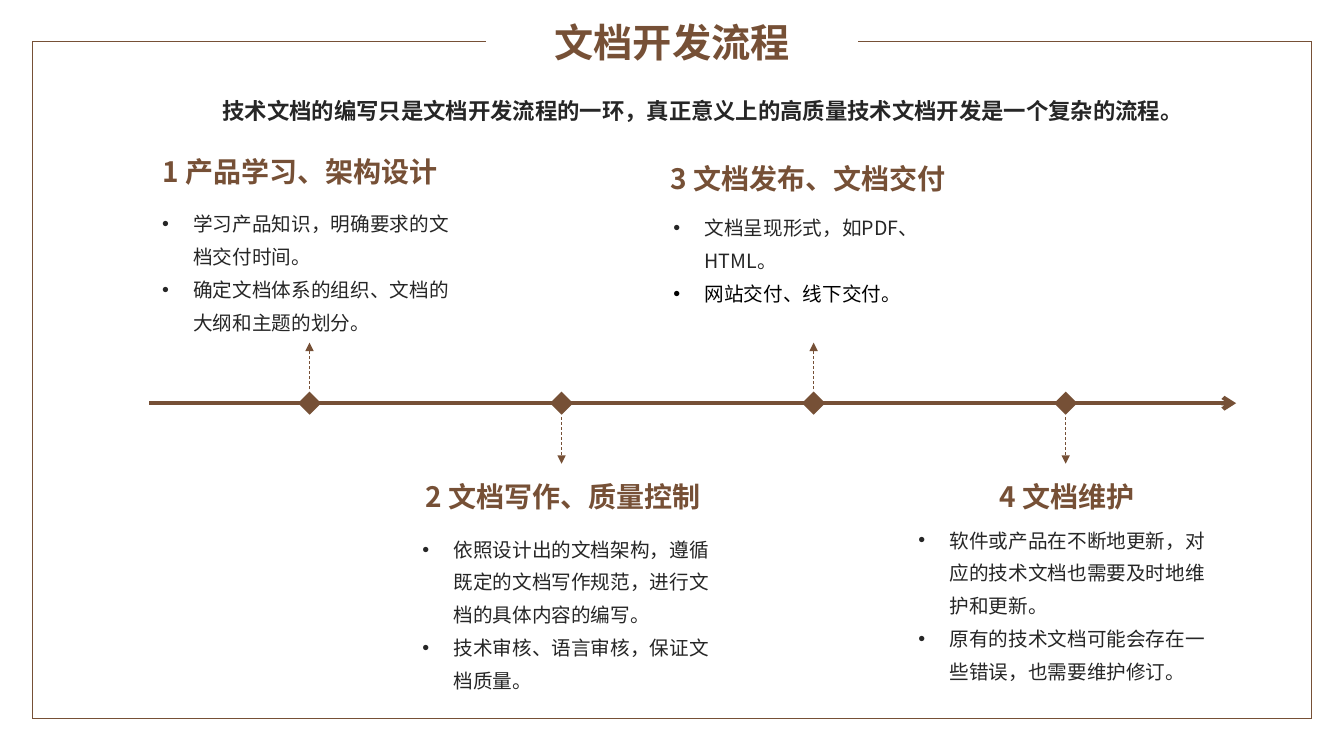
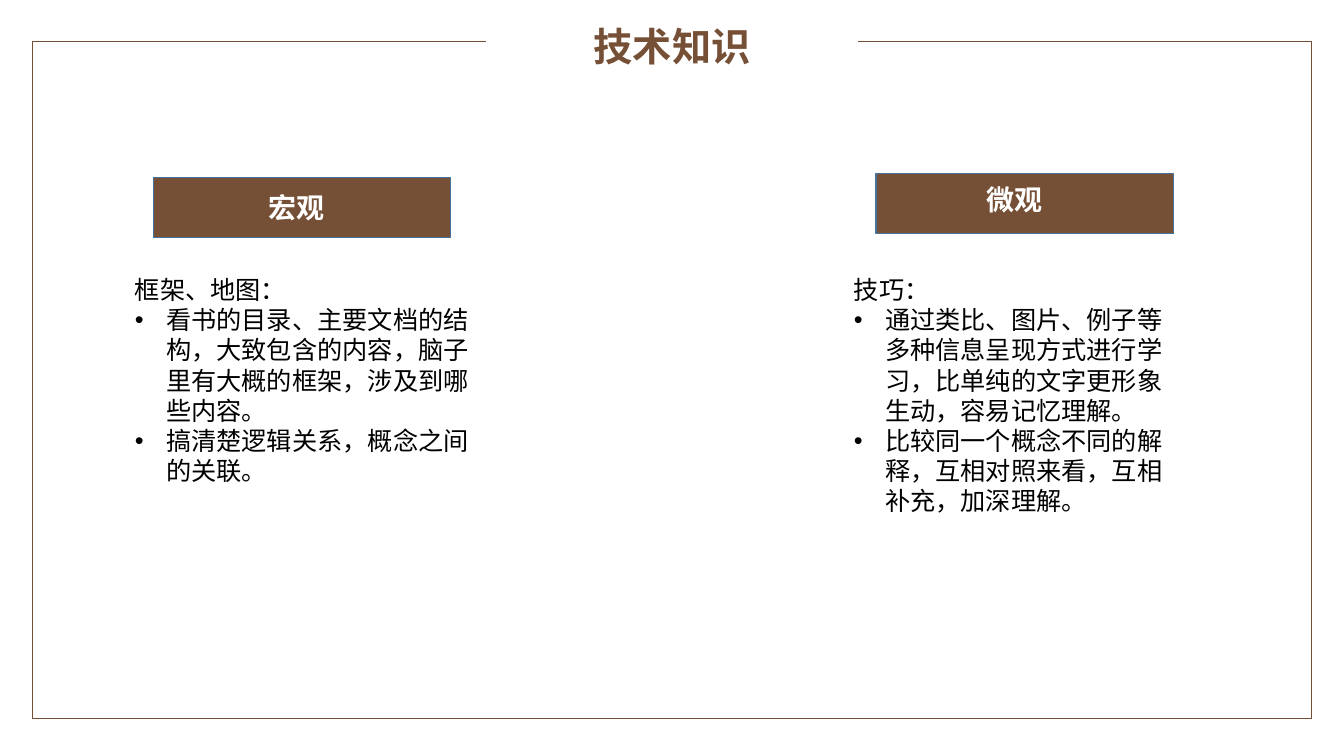
"""Build two framed slides about technical documentation."""
import dataclasses

import lxml.etree
import pptx
import pptx.dml.color
import pptx.enum.dml
import pptx.enum.shapes
import pptx.enum.text
import pptx.oxml.ns
import pptx.util

Inches = pptx.util.Inches
ALIGN = pptx.enum.text.PP_ALIGN
ANCHOR = pptx.enum.text.MSO_ANCHOR
SHAPE = pptx.enum.shapes.MSO_SHAPE


@dataclasses.dataclass(frozen=True)
class Style:
    """Describe how a run and its lines look."""
    size: float
    color: str
    bold: bool = False
    font: str = "Noto Sans CJK SC"
    leading: float = 1.2


@dataclasses.dataclass(frozen=True)
class Theme:
    """Hold the colours and text styles of the presentation."""
    brown: str = "765036"
    blue: str = "43739E"
    title: Style = Style(28, "765036", True)
    heading: Style = Style(20, "765036", True)
    label: Style = Style(20, "FFFFFF", True)
    lead: Style = Style(16, "262626", True)
    step: Style = Style(14, "262626", leading=1.68)
    step_black: Style = Style(14, "000000", leading=1.68)
    body: Style = Style(18, "000000", font="Calibri")


THEME = Theme()


def rgb(value):
    """Turn a hexadecimal string into a colour."""
    return pptx.dml.color.RGBColor.from_string(value)


def add_element(parent, tag, **attributes):
    """Append a drawing element to its parent."""
    return lxml.etree.SubElement(parent, pptx.oxml.ns.qn(tag), **attributes)


def write_paragraph(paragraph, text, style, align=ALIGN.LEFT, bullet=False):
    """Fill a paragraph with one styled run."""
    paragraph.alignment = align
    paragraph.line_spacing = pptx.util.Pt(round(style.size * style.leading, 1))
    if bullet:
        properties = paragraph._p.get_or_add_pPr()
        properties.set("marL", str(Inches(0.31)))
        properties.set("indent", str(Inches(-0.31)))
        add_element(properties, "a:buFont", typeface="Arial")
        add_element(properties, "a:buChar", char="•")
    run = paragraph.add_run()
    run.text = text
    run.font.size = pptx.util.Pt(style.size)
    run.font.bold = style.bold
    run.font.color.rgb = rgb(style.color)
    run.font.name = style.font
    add_element(run._r.get_or_add_rPr(), "a:ea", typeface=style.font)


def add_text(slide, left, top, width, height, items, align=ALIGN.LEFT):
    """Add a wrapped text box from (text, style, bullet) items."""
    shape = slide.shapes.add_textbox(
        Inches(left), Inches(top), Inches(width), Inches(height))
    frame = shape.text_frame
    frame.word_wrap = True
    for index, (text, style, bullet) in enumerate(items):
        paragraph = frame.add_paragraph() if index else frame.paragraphs[0]
        write_paragraph(paragraph, text, style, align, bullet)


def add_line(slide, start, end, weight=1, dashed=False, arrow=None):
    """Add a straight brown line, with an optional arrowhead at its end."""
    line = slide.shapes.add_connector(
        pptx.enum.shapes.MSO_CONNECTOR.STRAIGHT,
        *(Inches(value) for value in (*start, *end)))
    line.line.color.rgb = rgb(THEME.brown)
    line.line.width = pptx.util.Pt(weight)
    if dashed:
        line.line.dash_style = pptx.enum.dml.MSO_LINE.DASH
    if arrow:
        add_element(line.line._get_or_add_ln(), "a:tailEnd", type=arrow)
    add_element(line._element.spPr, "a:effectLst")


def add_filled_shape(slide, kind, left, top, width, height, outline=None):
    """Add a brown preset shape."""
    shape = slide.shapes.add_shape(
        kind, Inches(left), Inches(top), Inches(width), Inches(height))
    shape.shadow.inherit = False
    shape.fill.solid()
    shape.fill.fore_color.rgb = rgb(THEME.brown)
    if outline:
        shape.line.color.rgb = rgb(outline)
        shape.line.width = pptx.util.Pt(1)
    else:
        shape.line.fill.background()
    return shape


def add_framed_slide(presentation, title, title_top):
    """Add a slide with its title set in the gap of a thin frame."""
    slide = presentation.slides.add_slide(presentation.slide_layouts[5])
    left, top, right, bottom = 0.32, 0.41, 13.01, 7.13
    gap_left, gap_right = 4.82, 8.51
    corners = [(gap_left, top), (left, top), (left, bottom),
               (right, bottom), (right, top), (gap_right, top)]
    for start, end in zip(corners, corners[1:]):
        add_line(slide, start, end)
    shape = slide.shapes.title
    shape.left, shape.top = Inches(gap_left), Inches(title_top)
    shape.width, shape.height = Inches(gap_right - gap_left), Inches(0.57)
    frame = shape.text_frame
    frame.vertical_anchor = ANCHOR.TOP
    frame.auto_size = pptx.enum.text.MSO_AUTO_SIZE.NONE
    write_paragraph(frame.paragraphs[0], title, THEME.title, ALIGN.CENTER)
    return slide


def add_milestone(slide, center, upward):
    """Add a timeline diamond with a dashed arrow up or down."""
    axis, size = 4, 0.23
    direction = -1 if upward else 1
    add_filled_shape(slide, SHAPE.DIAMOND, center - size / 2,
                     axis - size / 2, size, size)
    add_line(slide, (center, axis + direction * 0.14),
             (center, axis + direction * 0.6), 0.5, True, "triangle")


def add_step(slide, heading, heading_at, body_at, height, points):
    """Add a step heading and its bulleted text."""
    add_text(slide, *heading_at, 3.05, 0.44,
             [(heading, THEME.heading, False)], ALIGN.CENTER)
    add_text(slide, *body_at, 3.17, height,
             [(text, style, True) for text, style in points])


def add_banner(slide, left, top, text, shift):
    """Add a labelled rectangle whose text sits slightly up and left."""
    banner = add_filled_shape(slide, SHAPE.RECTANGLE, left, top, 2.95, 0.6,
                              THEME.blue)
    frame = banner.text_frame
    frame.vertical_anchor = ANCHOR.MIDDLE
    frame.margin_right = Inches(0.1 + 2 * shift[0])
    frame.margin_bottom = Inches(0.05 + 2 * shift[1])
    write_paragraph(frame.paragraphs[0], text, THEME.label, ALIGN.CENTER)


def add_topic(slide, left, width, height, intro, points):
    """Add an introductory line followed by bullets."""
    items = [(intro, THEME.body, False)]
    items += [(point, THEME.body, True) for point in points]
    add_text(slide, left, 2.67, width, height, items)


def build_process(presentation):
    """Build the timeline of the documentation process."""
    slide = add_framed_slide(presentation, "文档开发流程", 0.13)
    add_text(slide, 2.11, 0.91, 9.86, 0.4, [(
        "技术文档的编写只是文档开发流程的一环，真正意义上的高质量技术文档开发是一个复杂的流程。",
        THEME.lead, False)])
    add_line(slide, (1.48, 4), (12.26, 4), 3, arrow="arrow")
    steps = [
        ("1 产品学习、架构设计", (1.45, 1.48), (1.51, 1.96), 1.42,
         [("学习产品知识，明确要求的文档交付时间。", THEME.step),
          ("确定文档体系的组织、文档的大纲和主题的划分。", THEME.step)]),
        ("2 文档写作、质量控制", (4.06, 4.71), (4.09, 5.19), 1.75,
         [("依照设计出的文档架构，遵循既定的文档写作规范，进行文档的具体内容的编写。", THEME.step),
          ("技术审核、语言审核，保证文档质量。", THEME.step)]),
        ("3 文档发布、文档交付", (6.49, 1.55), (6.58, 2), 1.09,
         [("文档呈现形式，如PDF、HTML。", THEME.step),
          ("网站交付、线下交付。", THEME.step_black)]),
        ("4 文档维护", (9.06, 4.71), (9.01, 5.1), 1.75,
         [("软件或产品在不断地更新，对应的技术文档也需要及时地维护和更新。", THEME.step),
          ("原有的技术文档可能会存在一些错误，也需要维护修订。", THEME.step)]),
    ]
    for index, step in enumerate(steps):
        add_milestone(slide, 3.07 + 2.5 * index, index % 2 == 0)
        add_step(slide, *step)


def build_knowledge(presentation):
    """Build the comparison of the macro and micro views."""
    slide = add_framed_slide(presentation, "技术知识", 0.17)
    add_banner(slide, 1.52, 1.76, "宏观", (0.05, 0))
    add_topic(slide, 1.24, 3.53, 2.22, "框架、地图：", [
        "看书的目录、主要文档的结构，大致包含的内容，脑子里有大概的框架，涉及到哪些内容。",
        "搞清楚逻辑关系，概念之间的关联。"])
    add_banner(slide, 8.69, 1.72, "微观", (0.1, 0.04))
    add_topic(slide, 8.37, 3.46, 2.52, "技巧：", [
        "通过类比、图片、例子等多种信息呈现方式进行学习，比单纯的文字更形象生动，容易记忆理解。",
        "比较同一个概念不同的解释，互相对照来看，互相补充，加深理解。"])


def main():
    """Build and save the presentation."""
    presentation = pptx.Presentation()
    presentation.slide_width = Inches(13.33)
    presentation.slide_height = Inches(7.5)
    build_process(presentation)
    build_knowledge(presentation)
    presentation.save("out.pptx")


if __name__ == "__main__":
    main()
